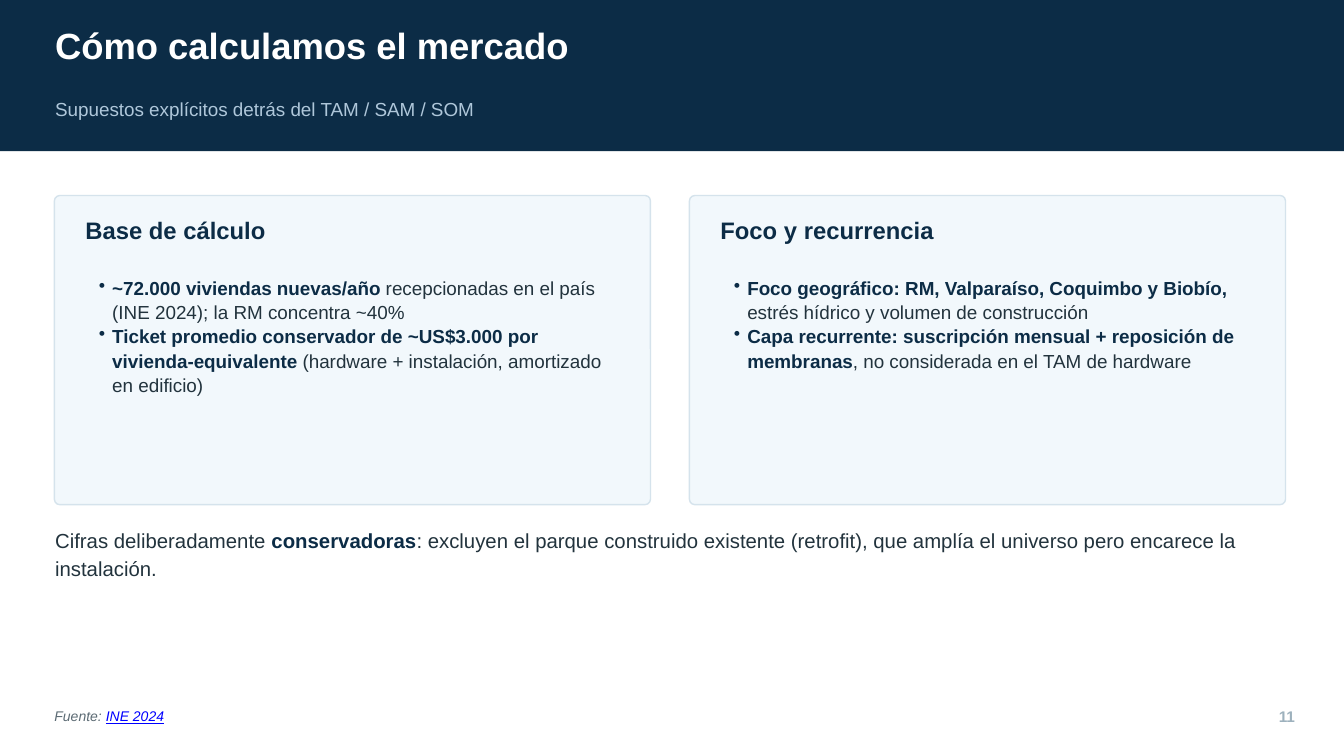
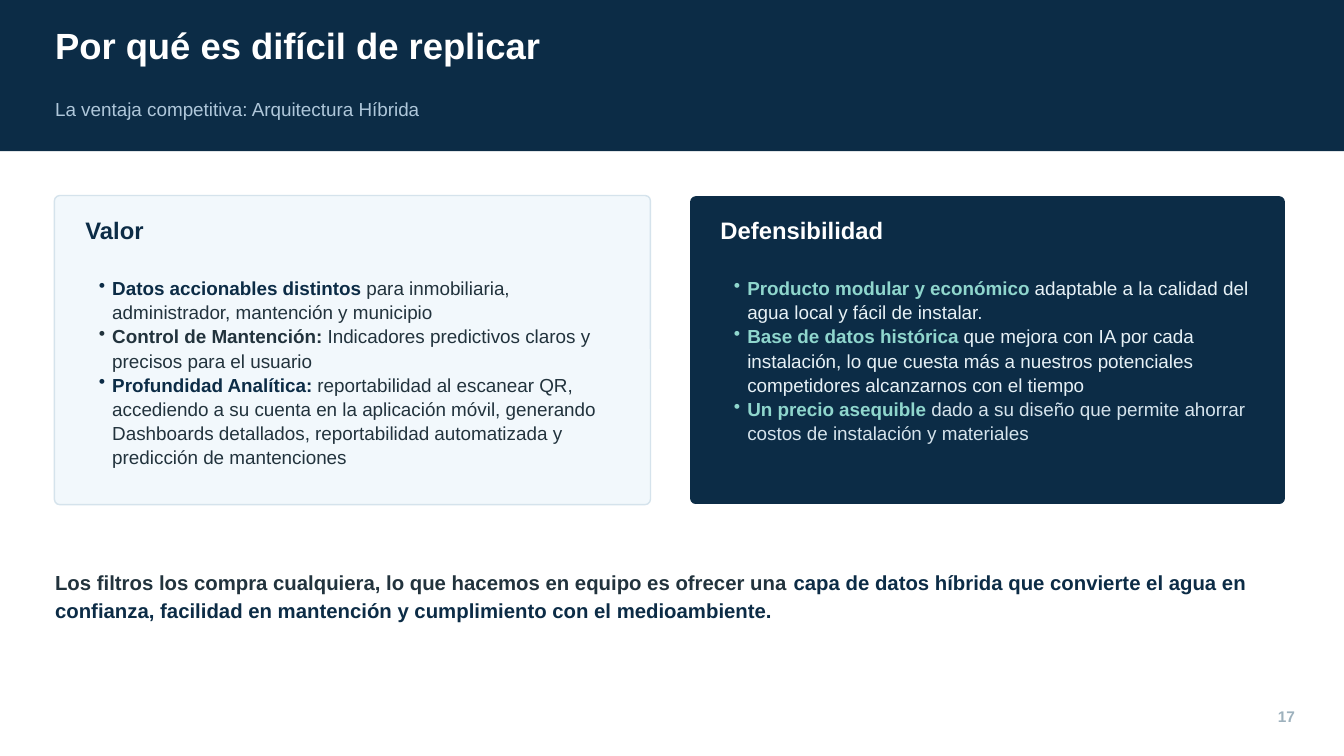
from lxml import etree
from pptx import Presentation
from pptx.dml.color import RGBColor
from pptx.enum.shapes import MSO_SHAPE as SHAPE
from pptx.enum.text import MSO_ANCHOR as ANCHOR, PP_ALIGN as ALIGN
from pptx.oxml.ns import qn
from pptx.util import Inches, Pt

NAVY, INK, WHITE = "0C2C46", "22333D", "FFFFFF"
PALE, BORDER, MIST = "F2F8FC", "D5E3EC", "E7F1F6"
SKY, MINT, GRAY, SLATE, LINK = "AFC7DA", "8FD6CD", "9DB1BD", "5C6B74", "0000FF"
FONT = "Arial"
LEFT = 0.82
CARD_LEFT, CARD_TOP, CARD_W, CARD_H = 0.81, 2.91, 8.87, 4.6
CARD_STEP = 9.45
CARD_RADIUS = 0.08


def rgb(value):
    return RGBColor.from_string(value)


def add_text(s, box, paragraphs, size, spacing, bold=False, italic=False,
             bullet=False, align=ALIGN.LEFT, anchor=ANCHOR.TOP):
    """Each paragraph is a list of runs: (text, colour, optional format overrides)."""
    tf = s.shapes.add_textbox(*[Inches(v) for v in box]).text_frame
    tf.word_wrap = True
    tf.vertical_anchor = anchor
    tf.margin_left = tf.margin_right = tf.margin_top = tf.margin_bottom = 0
    for i, runs in enumerate(paragraphs):
        p = tf.paragraphs[0] if i == 0 else tf.add_paragraph()
        p.alignment = align
        p.line_spacing = Pt(spacing)
        if bullet:
            p.level = 1
            pPr = p._p.get_or_add_pPr()
            pPr.set("marL", str(Inches(0.4)))
            pPr.set("indent", str(Inches(-0.2)))
            etree.SubElement(pPr, qn("a:buChar")).set("char", "•")
        for text, colour, *override in runs:
            r = p.add_run()
            r.text = text
            r.font.name, r.font.size = FONT, Pt(size)
            r.font.bold, r.font.italic = bold, italic
            r.font.color.rgb = rgb(colour)
            for name, value in (override[0] if override else {}).items():
                setattr(r.font, name, value)


BOLD = {"bold": True}

slides = [
    {
        "title": "Cómo calculamos el mercado",
        "subtitle": "Supuestos explícitos detrás del TAM / SAM / SOM",
        "number": "11",
        "cards": [
            {"heading": "Base de cálculo", "dark": False, "height": 1.77, "bullets": [
                [("~72.000 viviendas nuevas/año", NAVY, BOLD),
                 (" recepcionadas en el país (INE 2024); la RM concentra ~40%", INK)],
                [("Ticket promedio conservador de ~US$3.000 por vivienda-equivalente", NAVY, BOLD),
                 (" (hardware + instalación, amortizado en edificio)", INK)],
            ]},
            {"heading": "Foco y recurrencia", "dark": False, "height": 1.42, "bullets": [
                [("Foco geográfico: RM, Valparaíso, Coquimbo y Biobío,", NAVY, BOLD),
                 (" estrés hídrico y volumen de construcción", INK)],
                [("Capa recurrente: suscripción mensual + reposición de membranas", NAVY, BOLD),
                 (", no considerada en el TAM de hardware", INK)],
            ]},
        ],
        "closing_box": (LEFT, 7.81, 18.3, 1.34),
        "closing": [
            ("Cifras deliberadamente ", INK),
            ("conservadoras", NAVY, BOLD),
            (": excluyen el parque construido existente (retrofit), que amplía el universo "
             "pero encarece la instalación.", INK),
        ],
        "source": [("Fuente: ", SLATE), ("INE 2024", LINK, {"underline": True})],
    },
    {
        "title": "Por qué es difícil de replicar",
        "subtitle": "La ventaja competitiva: Arquitectura Híbrida",
        "number": "17",
        "cards": [
            {"heading": "Valor", "dark": False, "height": 3.19, "bullets": [
                [("Datos accionables distintos", NAVY, BOLD),
                 (" para inmobiliaria, administrador, mantención y municipio", INK)],
                [("Control de Mantención: ", INK, BOLD),
                 ("Indicadores predictivos claros y precisos para el usuario", INK)],
                [("Profundidad Analítica:", NAVY, BOLD),
                 (" reportabilidad al escanear QR, accediendo a su cuenta en la aplicación móvil, "
                  "generando Dashboards detallados, reportabilidad automatizada y predicción de "
                  "mantenciones", INK)],
            ]},
            {"heading": "Defensibilidad", "dark": True, "height": 2.48, "bullets": [
                [("Producto modular y económico", MINT, BOLD),
                 (" adaptable a la calidad del agua local y fácil de instalar.", MIST)],
                [("Base de datos histórica", MINT, BOLD),
                 (" que mejora con IA por cada instalación, lo que cuesta más a nuestros "
                  "potenciales competidores alcanzarnos con el tiempo", MIST)],
                [("Un precio asequible ", MINT, BOLD),
                 ("dado a su diseño que permite ahorrar costos de instalación y materiales", BORDER)],
            ]},
        ],
        "closing_box": (LEFT, 8.43, 18.3, 0.84),
        "closing": [
            ("Los filtros los compra cualquiera, lo que hacemos en equipo es ofrecer una ", INK, BOLD),
            ("capa de datos híbrida que convierte el agua en confianza, facilidad en mantención "
             "y cumplimiento con el medioambiente.", NAVY, BOLD),
        ],
        "source": None,
    },
]

prs = Presentation()
prs.slide_width, prs.slide_height = Inches(20), Inches(11.25)

for content in slides:
    s = prs.slides.add_slide(prs.slide_layouts[6])

    band = s.shapes.add_shape(SHAPE.RECTANGLE, 0, 0, prs.slide_width, Inches(2.25))
    band.shadow.inherit = False
    band.fill.solid()
    band.fill.fore_color.rgb = rgb(NAVY)
    band.line.fill.background()
    add_text(s, (LEFT, 0.34, 13.8, 1.1), [[(content["title"], WHITE)]], 39, 46.8, bold=True)
    add_text(s, (LEFT, 1.46, 14.7, 0.61), [[(content["subtitle"], SKY)]], 20.2, 24.3)

    for i, card in enumerate(content["cards"]):
        left = CARD_LEFT + i * CARD_STEP
        inset = 0.01 if card["dark"] else 0
        sp = s.shapes.add_shape(SHAPE.ROUNDED_RECTANGLE,
                                Inches(left + inset), Inches(CARD_TOP + inset),
                                Inches(CARD_W - 2 * inset), Inches(CARD_H - 2 * inset))
        sp.adjustments[0] = CARD_RADIUS / CARD_H
        sp.shadow.inherit = False
        sp.fill.solid()
        sp.fill.fore_color.rgb = rgb(NAVY if card["dark"] else PALE)
        if card["dark"]:
            sp.line.fill.background()
        else:
            sp.line.color.rgb = rgb(BORDER)
            sp.line.width = Pt(1.5)

        text_left = left + 0.46
        heading_colour = WHITE if card["dark"] else NAVY
        add_text(s, (text_left, 3.21, 7.95, 0.76), [[(card["heading"], heading_colour)]],
                 25.5, 30.6, bold=True)
        add_text(s, (text_left, 4.1, 7.95, card["height"]), card["bullets"],
                 20.2, 25.8, bullet=True)

    add_text(s, content["closing_box"], [content["closing"]], 21.8, 30)
    add_text(s, (18.45, 10.39, 0.82, 0.54), [[(content["number"], GRAY)]], 16.5, 19.8,
             bold=True, align=ALIGN.RIGHT, anchor=ANCHOR.MIDDLE)
    if content["source"]:
        add_text(s, (CARD_LEFT, 10.53, 11.52, 0.27), [content["source"]], 15, 18, italic=True)

prs.save("out.pptx")
